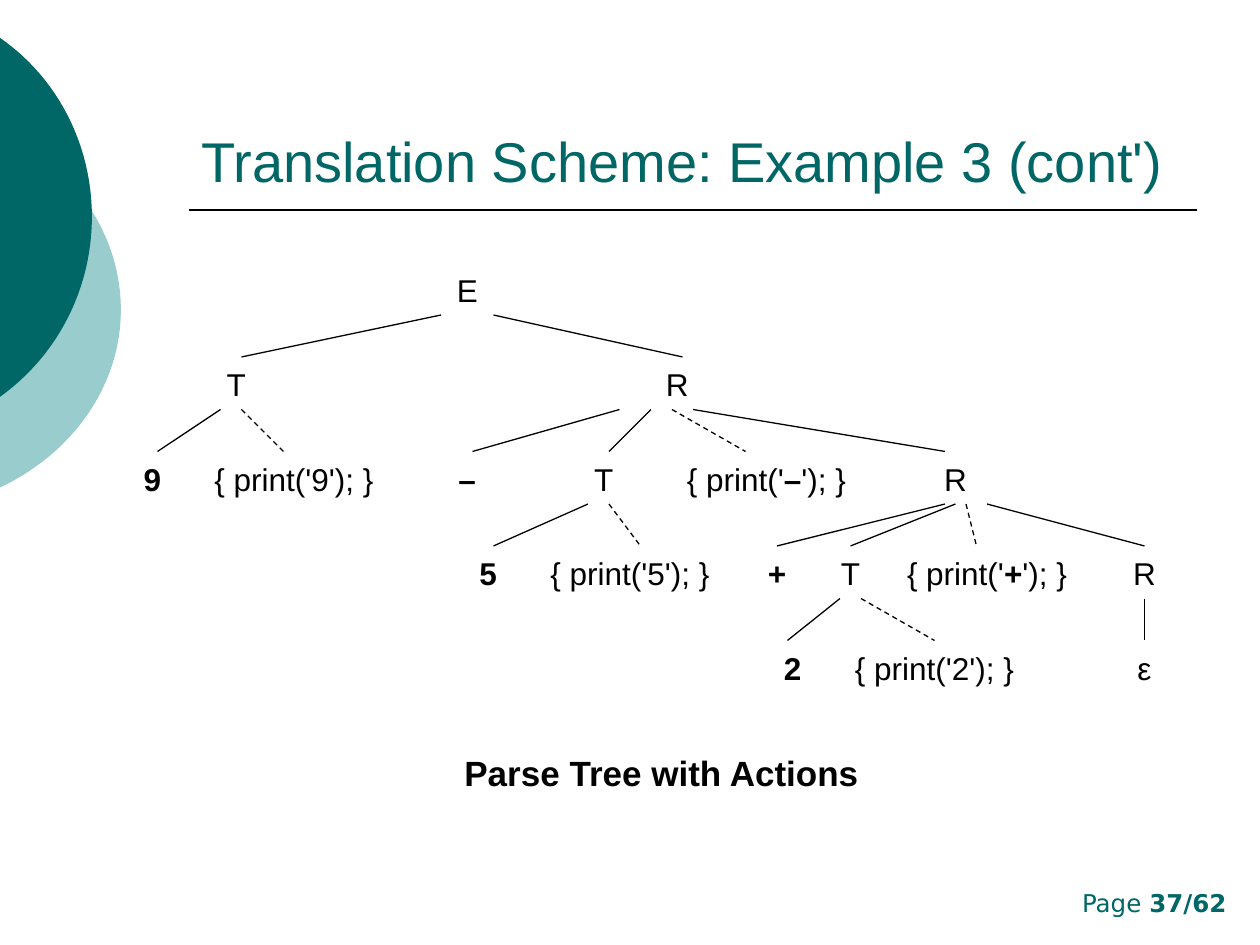
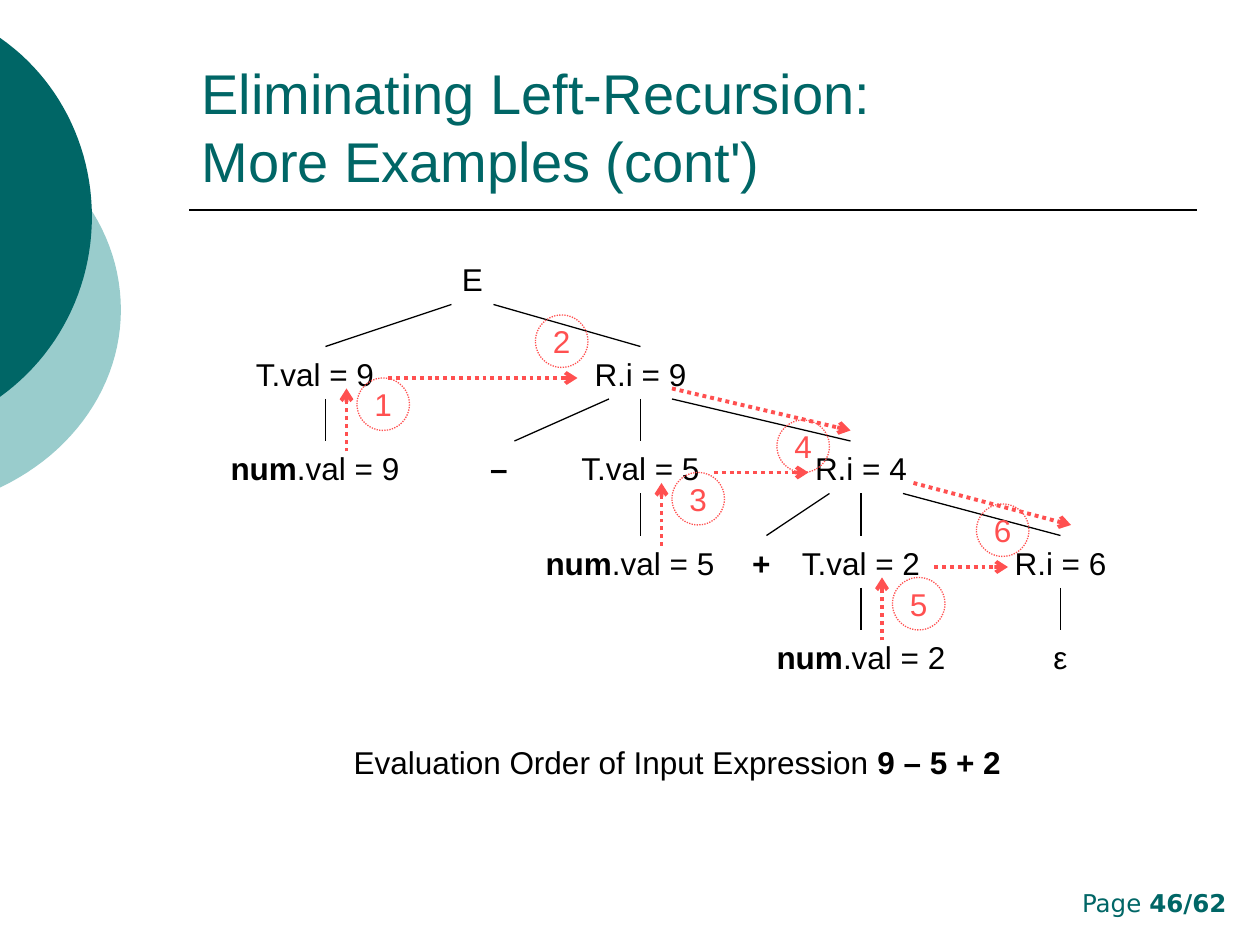
"""Build two slides that show annotated parse trees."""
from typing import Any, NamedTuple, Optional

from lxml import etree
from pptx import Presentation
from pptx.dml.color import RGBColor
from pptx.enum.dml import MSO_LINE
from pptx.enum.shapes import MSO_CONNECTOR, MSO_SHAPE
from pptx.enum.text import MSO_ANCHOR, PP_ALIGN
from pptx.oxml.ns import qn
from pptx.slide import Slide
from pptx.util import Cm, Pt

STRAIGHT = MSO_CONNECTOR.STRAIGHT
OVAL = MSO_SHAPE.OVAL
DASH, DOTS = MSO_LINE.DASH, MSO_LINE.ROUND_DOT
LEFT, MID, RIGHT = PP_ALIGN.LEFT, PP_ALIGN.CENTER, PP_ALIGN.RIGHT
LOW, CENTRE = MSO_ANCHOR.BOTTOM, MSO_ANCHOR.MIDDLE

BLACK = RGBColor(0x00, 0x00, 0x00)
TEAL = RGBColor(0x00, 0x66, 0x66)
PALE = RGBColor(0x99, 0xCC, 0xCC)
RED = RGBColor(0xFF, 0x50, 0x50)

ROW, TALL = 9, 5


class Style(NamedTuple):
    """Look of a text."""
    size: int = 18
    color: RGBColor = BLACK
    align: PP_ALIGN = MID
    face: str = "Arial"


class Pen(NamedTuple):
    """Look of a line."""
    color: RGBColor = BLACK
    width: float = 0.75
    dash: Optional[MSO_LINE] = None
    arrow: bool = False


class Label(NamedTuple):
    """Text box in grid units, with ** around bold words."""
    left: float
    top: float
    width: float
    text: str
    height: float = TALL


class Node(NamedTuple):
    """Symbol in one row of a tree."""
    row: int
    left: int
    width: int
    text: str


class Edge(NamedTuple):
    """Branch from one row to the next."""
    row: int
    start: int
    end: int
    dash: Optional[MSO_LINE] = None


class Disc(NamedTuple):
    """Right part of an oval, as two curves given in inches."""
    color: RGBColor
    curves: list[list[tuple[float, float]]]


BODY, TITLE = Style(), Style(32, TEAL, LEFT)
CAPTION = Style(20)
FOOTER = Style(14, TEAL, RIGHT, "DejaVu Sans")
MARK = Style(color=RED)
RULE, RING = Pen(width=1), Pen(RED, dash=DOTS)
FLOW = Pen(RED, 2.25, DOTS, True)

DISCS = [
    Disc(PALE, [[(0, 1.05), (0.59, 1.32), (0.96, 1.86), (0.96, 2.46)],
                [(0.96, 2.46), (0.96, 3.05), (0.59, 3.59), (0, 3.87)]]),
    Disc(TEAL, [[(0, 0.3), (0.46, 0.62), (0.73, 1.15), (0.73, 1.72)],
                [(0.73, 1.72), (0.73, 2.29), (0.46, 2.82), (0, 3.15)]]),
]

ACTION_NODES = [
    Node(0, 34, 21, "E"),
    Node(1, 12, 21, "T"), Node(1, 54, 21, "R"),
    Node(2, 10, 9, "**9**"), Node(2, 19, 18, "{ print('9'); }"),
    Node(2, 38, 13, "**–**"), Node(2, 51, 13, "T"),
    Node(2, 64, 18, "{ print('**–**'); }"), Node(2, 82, 18, "R"),
    Node(3, 42, 9, "**5**"), Node(3, 51, 18, "{ print('5'); }"),
    Node(3, 71, 6, "**+**"), Node(3, 77, 8, "T"),
    Node(3, 85, 18, "{ print('**+**'); }"), Node(3, 103, 12, "R"),
    Node(4, 71, 9, "**2**"), Node(4, 80, 18, "{ print('2'); }"),
    Node(4, 101, 16, "ε"),
]
ACTION_EDGES = [
    Edge(0, 42, 23), Edge(0, 47, 65),
    Edge(1, 21, 15), Edge(1, 23, 27, DASH), Edge(1, 59, 45),
    Edge(1, 62, 58), Edge(1, 64, 71, DASH), Edge(1, 66, 90),
    Edge(2, 56, 47), Edge(2, 58, 61, DASH), Edge(2, 90, 74),
    Edge(2, 91, 81), Edge(2, 92, 93, DASH), Edge(2, 94, 109),
    Edge(3, 80, 75), Edge(3, 82, 89, DASH), Edge(3, 109, 109),
]
VALUE_NODES = [
    Node(0, 36, 18, "E"),
    Node(1, 17, 26, "T.val = 9"), Node(1, 48, 26, "R.i = 9"),
    Node(2, 17, 26, "**num**.val = 9"), Node(2, 43, 9, "**–**"),
    Node(2, 52, 18, "T.val = 5"), Node(2, 70, 24, "R.i = 4"),
    Node(3, 50, 20, "**num**.val = 5"), Node(3, 69, 7, "**+**"),
    Node(3, 73, 18, "T.val = 2"), Node(3, 91, 20, "R.i = 6"),
    Node(4, 72, 20, "**num**.val = 2"), Node(4, 95, 12, "ε"),
]
VALUE_EDGES = [
    Edge(0, 43, 31), Edge(0, 47, 61),
    Edge(1, 31, 31), Edge(1, 58, 49), Edge(1, 61, 61), Edge(1, 64, 81),
    Edge(2, 61, 61), Edge(2, 79, 73), Edge(2, 82, 82), Edge(2, 86, 101),
    Edge(3, 82, 82), Edge(3, 101, 101),
]
FLOWS = [
    (33, 43, 33, 37), (37, 36, 55, 36), (64, 37, 81, 41), (68, 45, 77, 45),
    (63, 52, 63, 46), (84, 61, 84, 55), (87, 46, 102, 50), (89, 54, 96, 54),
]
STEPS = [(34, 36), (51, 30), (64, 45), (74, 40), (85, 55), (93, 48)]


def grid(*units: float) -> list[Cm]:
    """Turn grid units, twelfths of an inch, into lengths."""
    return [Cm(unit * 2.54 / 12) for unit in units]


def apply(target: Any, values: dict[str, Any]) -> None:
    """Set each named attribute of the target."""
    for name, value in values.items():
        setattr(target, name, value)


def ink(line: Any, pen: Pen) -> None:
    """Give a line the look of a pen."""
    line.color.rgb = pen.color
    apply(line, {"width": Pt(pen.width), "dash_style": pen.dash})


def write(frame: Any, text: str, style: Style, anchor: MSO_ANCHOR, wrap: bool) -> None:
    """Fill a text frame, with each second part between ** in bold."""
    apply(frame, {"word_wrap": wrap, "vertical_anchor": anchor})
    para = frame.paragraphs[0]
    para.alignment = style.align
    for part, chunk in enumerate(text.split("**")):
        for count, words in enumerate(chunk.split("\n")):
            if count:
                para.add_line_break()
            if words:
                run = para.add_run()
                run.text = words
                apply(run.font, {"name": style.face, "size": Pt(style.size),
                                 "bold": part % 2 == 1})
                run.font.color.rgb = style.color


def add_label(slide: Slide, label: Label, style: Style = BODY) -> Any:
    """Add a text box whose text sits at the bottom."""
    box = slide.shapes.add_textbox(
        *grid(label.left, label.top, label.width, label.height))
    write(box.text_frame, label.text, style, LOW, True)
    return box


def add_line(slide: Slide, ends: tuple[float, ...], pen: Pen) -> Any:
    """Add a straight line, with an arrowhead if the pen has one."""
    line = slide.shapes.add_connector(STRAIGHT, *grid(*ends))
    ink(line.line, pen)
    props = line._element.spPr
    if pen.arrow:
        etree.SubElement(props.find(qn("a:ln")), qn("a:tailEnd"), type="arrow")
    etree.SubElement(props, qn("a:effectLst"))
    return line


def add_disc(slide: Slide, disc: Disc, steps: int = 24) -> None:
    """Add the part of an oval that enters from the left edge."""
    dots = []
    for a, b, c, d in disc.curves:
        for step in range(steps + 1):
            t = step / steps
            u = 1 - t
            dots.append(tuple(
                Cm(2.54 * (u**3 * a[k] + 3 * u * u * t * b[k]
                           + 3 * u * t * t * c[k] + t**3 * d[k]))
                for k in (0, 1)))
    pen = slide.shapes.build_freeform(*dots[0])
    pen.add_line_segments(dots[1:], close=True)
    shape = pen.convert_to_shape()
    shape.shadow.inherit = False
    shape.fill.solid()
    shape.fill.fore_color.rgb = disc.color
    shape.line.fill.background()


def add_step(slide: Slide, left: int, top: int, text: str) -> None:
    """Add a ringed step number."""
    ring = slide.shapes.add_shape(OVAL, *grid(left, top, TALL, TALL))
    ring.shadow.inherit = False
    ring.fill.background()
    ink(ring.line, RING)
    write(ring.text_frame, text, MARK, CENTRE, False)


def add_tree(slide: Slide, top: int, nodes: list[Node], edges: list[Edge]) -> None:
    """Add symbols and branches, joined where they meet mid-side."""
    joints = {}
    for node in nodes:
        high = top + ROW * node.row
        box = add_label(slide, Label(node.left, high, node.width, node.text))
        mid = node.left + node.width / 2
        joints[mid, high] = (box, 0)
        joints[mid, high + TALL] = (box, 2)
    for edge in edges:
        high = top + ROW * edge.row
        start, end = (edge.start, high + TALL), (edge.end, high + ROW)
        line = add_line(slide, start + end, Pen(dash=edge.dash))
        if start in joints:
            line.begin_connect(*joints[start])
        if end in joints:
            line.end_connect(*joints[end])


def add_page(deck: Any, title: str, page: int) -> Slide:
    """Add a slide with discs, rule, title and page number."""
    slide = deck.slides.add_slide(deck.slide_layouts[6])
    for disc in DISCS:
        add_disc(slide, disc)
    add_line(slide, (18, 20, 114, 20), RULE)
    add_label(slide, Label(91, 84, 27, f"Page **{page}/62**", 4), FOOTER)
    add_label(slide, Label(18, 4, 96, title, 15), TITLE)
    return slide


def main() -> None:
    """Build and save the deck."""
    deck = Presentation()
    apply(deck, {"slide_width": Cm(25.4), "slide_height": Cm(19.05)})

    slide = add_page(deck, "Translation Scheme: Example 3 (cont')", 37)
    add_tree(slide, 25, ACTION_NODES, ACTION_EDGES)
    add_label(slide, Label(31, 71, 64, "**Parse Tree with Actions**", 5.2), CAPTION)

    slide = add_page(
        deck, "Eliminating Left-Recursion:\nMore Examples (cont')", 46)
    add_tree(slide, 24, VALUE_NODES, VALUE_EDGES)
    for ends in FLOWS:
        add_line(slide, ends, FLOW)
    for count, (left, top) in enumerate(STEPS, 1):
        add_step(slide, left, top, str(count))
    add_label(slide, Label(
        25, 70, 79, "Evaluation Order of Input Expression **9 – 5 + 2**"))
    deck.save("out.pptx")


if __name__ == "__main__":
    main()
